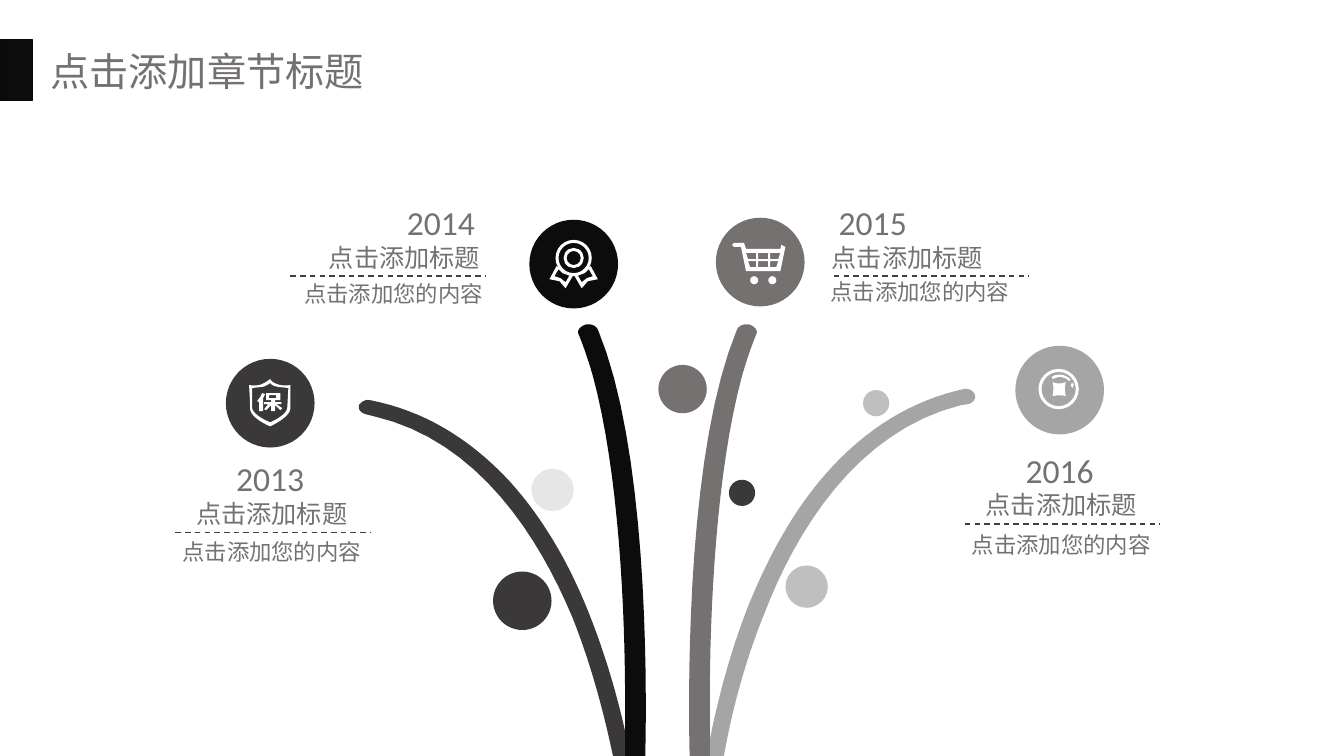
from lxml.etree import SubElement
from pptx import Presentation
from pptx.dml.color import RGBColor
from pptx.enum.dml import MSO_LINE
from pptx.enum.shapes import MSO_CONNECTOR, MSO_SHAPE
from pptx.enum.text import MSO_ANCHOR, MSO_AUTO_SIZE, PP_ALIGN
from pptx.oxml.ns import qn
from pptx.util import Inches, Pt

theme = {
    "black": "0C0C0C", "edge": "090909", "dark": "3A3838", "rule": "404040",
    "gray": "767171", "silver": "A5A5A5", "light": "BFBFBF", "pale": "E6E6E6",
    "white": "FFFFFF", "latin": "Calibri", "han": "Noto Sans CJK SC",
    "title": 28, "year": 24, "head": 18, "body": 16,
}
tint = {k: RGBColor.from_string(v) for k, v in theme.items()
        if isinstance(v, str) and len(v) == 6}
cell = Inches(1)
deck = Presentation()
deck.slide_width, deck.slide_height = int(13.33 * cell), int(7.5 * cell)
slide = deck.slides.add_slide(deck.slide_layouts[5])
shapes = slide.shapes


def draw(loops, color):
    pen = None
    for loop in loops:
        dots = [loop[0]]
        for seg in loop[1:]:
            if len(seg) == 2:
                dots.append(seg)
                continue
            x, y = dots[-1]
            a, b, c, d, e, f = seg
            for i in range(1, 17):
                t = i / 16
                u = 1 - t
                mix = (u ** 3, 3 * u * u * t, 3 * u * t * t, t ** 3)
                dots.append((sum(m * v for m, v in zip(mix, (x, a, c, e))),
                             sum(m * v for m, v in zip(mix, (y, b, d, f)))))
        spots = [(x * cell, y * cell) for x, y in dots]
        if pen is None:
            pen = shapes.build_freeform(*spots[0])
        else:
            pen.move_to(*spots[0])
        pen.add_line_segments(spots[1:], close=True)
    form = pen.convert_to_shape()
    form.shadow.inherit = False
    form.fill.solid()
    form.fill.fore_color.rgb = tint[color]
    form.line.fill.background()


def write(box, text, size, align, face, wrap, anchor):
    frame = box.text_frame
    look = {"word_wrap": wrap, "auto_size": MSO_AUTO_SIZE.NONE,
            "vertical_anchor": anchor}
    for key, val in look.items():
        setattr(frame, key, val)
    para = frame.paragraphs[0]
    para.alignment = align
    run = para.add_run()
    run.text = text
    for key, val in {"size": Pt(theme[size]), "name": theme[face]}.items():
        setattr(run.font, key, val)
    run.font.color.rgb = tint["gray"]
    SubElement(run.font._element, qn("a:ea"), typeface=theme["han"])


title = shapes.title
area = {"left": 0.4, "top": 0.42, "width": 3.34, "height": 0.57}
for key, val in area.items():
    setattr(title, key, int(val * cell))
write(title, "点击添加章节标题", "title", PP_ALIGN.LEFT, "han", False, MSO_ANCHOR.MIDDLE)

flag = shapes.add_shape(MSO_SHAPE.RECTANGLE, 0, int(0.39 * cell),
                        int(0.32 * cell), int(0.61 * cell))
flag.shadow.inherit = False
flag.fill.solid()
flag.fill.fore_color.rgb = tint["black"]
flag.line.color.rgb = tint["edge"]
flag.line.width = Pt(1)

draw([[(5.84, 6.08), (5.63, 5.55, 5.36, 5.11, 5.05, 4.77),
       (4.65, 4.34, 4.19, 4.07, 3.67, 3.97), (3.62, 3.96, 3.58, 3.99, 3.56, 4.02),
       (3.55, 4.07, 3.59, 4.1, 3.63, 4.11), (3.71, 4.13),
       (4.75, 4.37, 5.35, 5.34, 5.68, 6.13), (5.89, 6.66, 6.01, 7.17, 6.08, 7.5),
       (6.25, 7.5), (6.19, 7.17, 6.06, 6.63, 5.84, 6.08)]], "dark")
draw([[(9.67, 3.92), (9.66, 3.88, 9.61, 3.85, 9.56, 3.86),
       (9.05, 3.97, 8.59, 4.25, 8.2, 4.69), (7.89, 5.04, 7.63, 5.49, 7.41, 6.04),
       (7.19, 6.61, 7.07, 7.16, 7.01, 7.5), (7.18, 7.5),
       (7.24, 7.16, 7.36, 6.63, 7.58, 6.09), (7.89, 5.28, 8.49, 4.28, 9.53, 4.02),
       (9.6, 4.01), (9.65, 4, 9.68, 3.96, 9.67, 3.92)]], "silver")
stem = [(5.93, 3.27), (5.91, 3.23, 5.86, 3.21, 5.81, 3.22),
        (5.75, 3.24, 5.72, 3.28, 5.74, 3.32), (5.79, 3.44, 5.84, 3.59, 5.88, 3.73),
        (6.14, 4.69, 6.2, 6.07, 6.2, 6.96), (6.2, 7.5), (6.4, 7.5),
        (6.42, 6.63, 6.41, 4.42, 5.93, 3.27)]
twin = [tuple(v if i % 2 else 13.24 - v for i, v in enumerate(seg)) for seg in stem]
draw([stem], "black")
draw([twin], "gray")

discs = [
    (2.68, 4, 0.44, 0, "dark"), (7.54, 2.6, 0.44, 0, "gray"),
    (5.69, 2.62, 0.44, 0, "black"), (10.51, 3.87, 0.44, 0, "silver"),
    (5.48, 4.86, 0.21, 0, "pale"), (5.18, 5.96, 0.29, 0, "dark"),
    (7.36, 4.89, 0.13, 0, "dark"), (6.77, 3.86, 0.24, 0, "gray"),
    (8, 5.82, 0.21, 0, "light"), (8.69, 4, 0.13, 0, "light"),
    (5.69, 2.56, 0.18, 0.03, "white"), (5.69, 2.56, 0.1, 0.03, "white"),
    (10.5, 3.86, 0.2, 0.03, "white"),
    (7.48, 2.78, 0.04, 0, "white"), (7.66, 2.78, 0.04, 0, "white"),
]
for x, y, r, rim, color in discs:
    kind = MSO_SHAPE.DONUT if rim else MSO_SHAPE.OVAL
    disc = shapes.add_shape(kind, *(int(v * cell) for v in (x - r, y - r, 2 * r, 2 * r)))
    if rim:
        disc.adjustments[0] = rim / (2 * r)
    disc.shadow.inherit = False
    disc.fill.solid()
    disc.fill.fore_color.rgb = tint[color]
    disc.line.fill.background()

shield = [
    [(2.68, 3.76), (2.68, 3.76, 2.62, 3.81, 2.57, 3.82), (2.52, 3.83, 2.47, 3.82, 2.47, 3.82),
     (2.47, 3.82, 2.48, 3.95, 2.48, 4.05), (2.48, 4.15, 2.68, 4.23, 2.68, 4.23),
     (2.68, 4.23, 2.88, 4.14, 2.88, 4.05), (2.88, 3.82),
     (2.88, 3.82, 2.83, 3.83, 2.78, 3.82), (2.69, 3.8, 2.68, 3.76, 2.68, 3.76)],
    [(2.68, 3.8), (2.68, 3.8, 2.63, 3.84, 2.59, 3.84), (2.5, 3.85), (2.5, 4.04),
     (2.5, 4.12, 2.68, 4.19, 2.68, 4.19), (2.68, 4.19, 2.85, 4.12, 2.85, 4.04),
     (2.86, 3.85), (2.77, 3.84), (2.69, 3.83, 2.68, 3.8, 2.68, 3.8)],
    [(2.6, 3.9), (2.63, 3.91), (2.61, 3.95), (2.61, 4.08), (2.57, 4.08),
     (2.57, 3.99), (2.55, 3.98), (2.58, 3.94)],
    [(2.64, 3.9), (2.78, 3.9), (2.78, 3.97), (2.73, 3.97), (2.73, 3.99), (2.79, 3.99),
     (2.79, 4.01), (2.74, 4.01), (2.8, 4.05), (2.78, 4.07), (2.73, 4.02), (2.73, 4.08),
     (2.69, 4.08), (2.69, 4.02), (2.64, 4.07), (2.62, 4.06), (2.66, 4.01), (2.62, 4.01),
     (2.62, 3.99), (2.69, 3.99), (2.69, 3.97), (2.64, 3.97)],
    [(2.67, 3.92), (2.74, 3.92), (2.74, 3.95), (2.67, 3.95)],
]
cart = [
    [(7.28, 2.41), (7.38, 2.41), (7.4, 2.47), (7.74, 2.47), (7.75, 2.43), (7.79, 2.45),
     (7.74, 2.69), (7.4, 2.69), (7.35, 2.45), (7.28, 2.45), (7.26, 2.43)],
    [(7.4, 2.51), (7.5, 2.51), (7.5, 2.57), (7.42, 2.57)],
    [(7.42, 2.59), (7.5, 2.59), (7.5, 2.65), (7.44, 2.65)],
    [(7.64, 2.51), (7.74, 2.51), (7.72, 2.57), (7.64, 2.57)],
    [(7.64, 2.59), (7.72, 2.59), (7.7, 2.65), (7.64, 2.65)],
]
cart += [[(7.52, y), (7.62, y), (7.62, y + 0.06), (7.52, y + 0.06)] for y in (2.51, 2.59)]
tail = [
    [(5.52, 2.64), (5.45, 2.77), (5.55, 2.79), (5.61, 2.86), (5.68, 2.74)],
    [(5.54, 2.67), (5.5, 2.74), (5.56, 2.76), (5.61, 2.8), (5.65, 2.73), (5.58, 2.71)],
]
pair = [[(11.38 - x, y) for x, y in loop] for loop in tail]
coin = [
    [(10.44, 3.93), (10.48, 3.92, 10.53, 3.92, 10.57, 3.93),
     (10.56, 3.88, 10.56, 3.83, 10.57, 3.79), (10.53, 3.81, 10.48, 3.81, 10.44, 3.79),
     (10.45, 3.83, 10.45, 3.88, 10.44, 3.93)],
    [(10.43, 3.74), (10.45, 3.73, 10.46, 3.72, 10.49, 3.72),
     (10.53, 3.71, 10.59, 3.73, 10.62, 3.77), (10.6, 3.78),
     (10.58, 3.75, 10.53, 3.74, 10.5, 3.74), (10.44, 3.76)],
    [(10.63, 3.8), (10.65, 3.81), (10.64, 3.85), (10.62, 3.83)],
]
for icon in (shield, cart, tail, pair, coin):
    draw(icon, "white")

notes = [
    ("2014", PP_ALIGN.RIGHT, 1.95, 3.93, 2.57, 1.8, 2.88, 0.78),
    ("2015", PP_ALIGN.LEFT, 1.95, 8.22, 8.15, 8.14, 8.27, 0.76),
    ("2016", PP_ALIGN.CENTER, 4.41, 10.07, 9.38, 8.98, 9.57, 0.81),
    ("2013", PP_ALIGN.CENTER, 4.49, 2.24, 1.55, 1.15, 1.74, 0.8),
]
for year, align, top, date, head, body, start, drop in notes:
    rows = [(year, "year", date, 0, 0.88, 0.5),
            ("点击添加您的内容", "body", body, drop, 3.09, 0.37),
            ("点击添加标题", "head", head, 0.4, 2.29, 0.4)]
    for text, size, x, down, w, h in rows:
        box = shapes.add_textbox(*(int(v * cell) for v in (x, top + down, w, h)))
        write(box, text, size, align, "latin", size != "year", MSO_ANCHOR.TOP)
    level = int((top + 0.79) * cell)
    rule = shapes.add_connector(MSO_CONNECTOR.STRAIGHT, int(start * cell), level,
                                int((start + 1.93) * cell), level)
    rule.line.color.rgb = tint["rule"]
    for key, val in {"width": Pt(1), "dash_style": MSO_LINE.DASH}.items():
        setattr(rule.line, key, val)
    SubElement(rule._element.spPr, qn("a:effectLst"))

deck.save("out.pptx")
